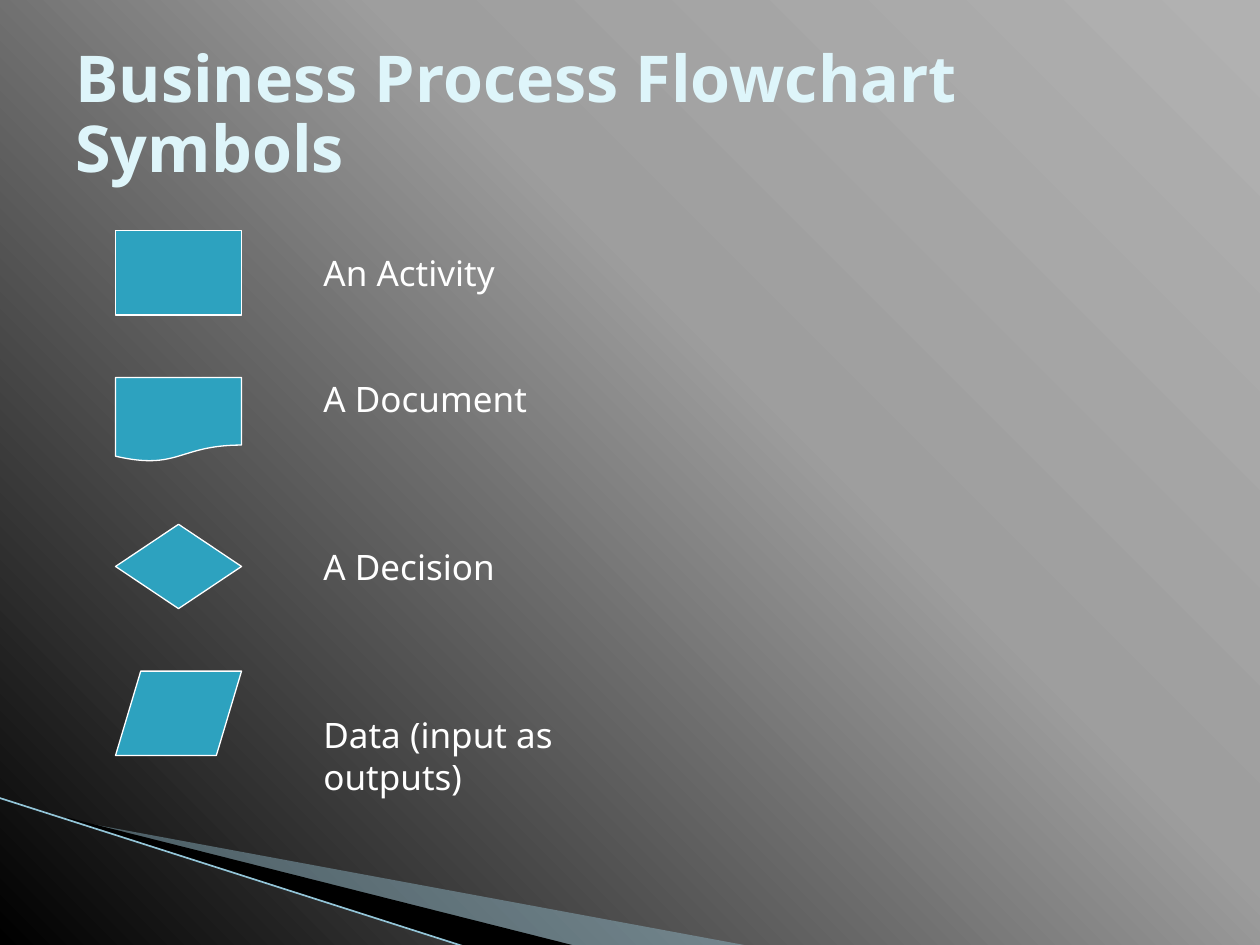
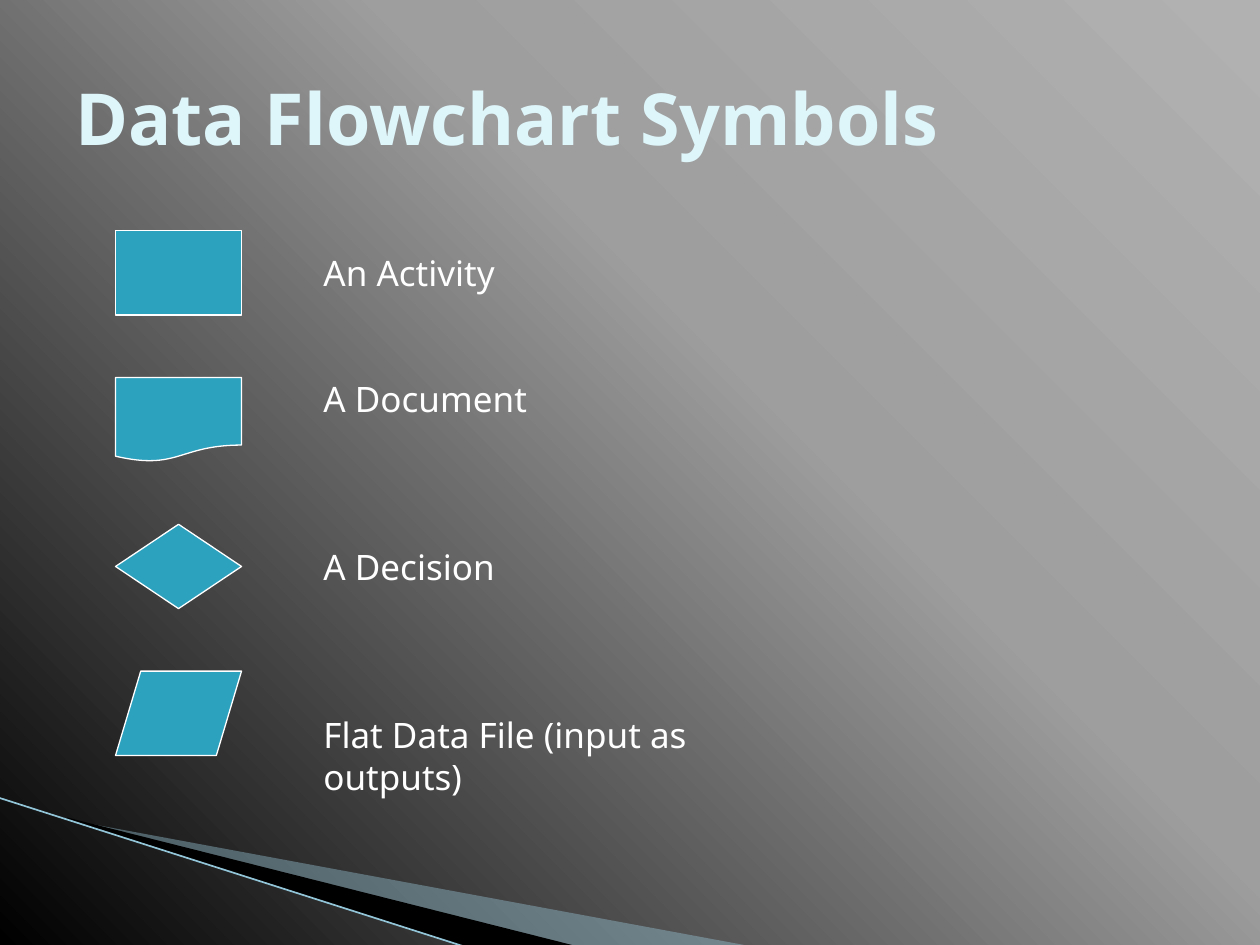
from lxml import etree
from pptx import Presentation
from pptx.dml.color import RGBColor
from pptx.enum.shapes import MSO_CONNECTOR as Connector, MSO_SHAPE as Preset
from pptx.enum.text import MSO_ANCHOR as Anchor
from pptx.oxml import parse_xml
from pptx.oxml.ns import nsdecls, qn
from pptx.util import Cm, Pt

FONT = "Noto Sans"
TITLE, TEXT, SYMBOL = "DEF5FA", "FFFFFF", "2DA2BF"
WEDGE, SHADE, EDGE = "9CCADC", "000000", "93C5D8"
BACKGROUND = [(0, "B1B1B1"), (40, "9E9E9E"), (100, "000000")]

LINE_PITCH = 24
SYMBOLS = [Preset.FLOWCHART_PROCESS, Preset.FLOWCHART_DOCUMENT,
           Preset.FLOWCHART_DECISION, Preset.FLOWCHART_DATA]
LINES_BEFORE = [0, 2, 3, 3]
SHARED_LABELS = ["An Activity", "A Document", "A Decision"]
SLIDES = [
    dict(title="Business Process Flowchart Symbols", size=36.9, spacing=0.9,
         last_label="Data (input as outputs)", label_width=6.96),
    dict(title="Data Flowchart Symbols", size=41, spacing=1.0,
         last_label="Flat Data File (input as outputs)", label_width=9.5),
]
WEDGE_POINTS = [(1.4, 16.53), (15.11, 19.07), (11.58, 19.07), (1.4, 16.51)]
SHADE_POINTS = [(1.35, 16.48), (11.61, 19.07), (9.45, 19.1), (1.37, 16.51)]


def color(value):
    """Turn a hex string into a colour."""
    return RGBColor.from_string(value)


def set_background(master):
    """Give every slide the gradient that spreads from the top right corner."""
    fill = master.background.fill
    fill.gradient()
    stops = "".join(f'<a:gs pos="{position * 1000}"><a:srgbClr val="{value}"/></a:gs>'
                    for position, value in BACKGROUND)
    gradient = parse_xml(
        f'<a:gradFill {nsdecls("a")} rotWithShape="1"><a:gsLst>{stops}</a:gsLst>'
        '<a:path path="circle"><a:fillToRect l="100000" b="100000"/></a:path></a:gradFill>')
    previous = master.element.find(".//" + qn("a:gradFill"))
    previous.getparent().replace(previous, gradient)


def add_text(slide, paragraphs, box, size, value, bold=False, spacing=1.0,
             anchor=Anchor.TOP, space_before=(0,)):
    """Add a wrapped text box with one paragraph per string."""
    frame = slide.shapes.add_textbox(*map(Cm, box)).text_frame
    frame.word_wrap = True
    frame.vertical_anchor = anchor
    frame.text = "\n".join(paragraphs)
    for paragraph, space in zip(frame.paragraphs, space_before):
        paragraph.line_spacing = spacing
        paragraph.space_before = Pt(space)
        font = paragraph.font
        font.name, font.size, font.bold = FONT, Pt(size), bold
        font.color.rgb = color(value)


def add_wedge(slide, points, value, opacity=100):
    """Add a filled outline without a border."""
    start, *rest = [(Cm(x), Cm(y)) for x, y in points]
    builder = slide.shapes.build_freeform(*start)
    builder.add_line_segments(rest, close=True)
    shape = builder.convert_to_shape()
    shape.shadow.inherit = False
    shape.fill.solid()
    shape.fill.fore_color.rgb = color(value)
    shape.line.fill.background()
    if opacity < 100:
        fill_color = shape.element.spPr.find(".//" + qn("a:srgbClr"))
        etree.SubElement(fill_color, qn("a:alpha"), val=str(opacity * 1000))


def add_corner(slide):
    """Draw the wedges and the thin line in the bottom left corner."""
    add_wedge(slide, WEDGE_POINTS, WEDGE, opacity=40)
    add_wedge(slide, SHADE_POINTS, SHADE)
    edge = slide.shapes.add_connector(
        Connector.STRAIGHT, Cm(-0.03), Cm(16.08), Cm(9.42), Cm(19.1))
    edge.line.color.rgb = color(EDGE)
    edge.line.width = Pt(0.95)
    etree.SubElement(edge.element.spPr, qn("a:effectLst"))


def add_symbols(slide):
    """Stack the flowchart symbols at equal steps."""
    for row, preset in enumerate(SYMBOLS):
        shape = slide.shapes.add_shape(
            preset, Cm(2.33), Cm(4.65 + 2.96 * row), Cm(2.54), Cm(1.7))
        shape.shadow.inherit = False
        shape.fill.solid()
        shape.fill.fore_color.rgb = color(SYMBOL)
        shape.line.color.rgb = color(TEXT)
        shape.line.width = Pt(0.75)


def main():
    """Build and save the presentation."""
    presentation = Presentation()
    presentation.slide_width, presentation.slide_height = Cm(25.4), Cm(19.05)
    set_background(presentation.slide_master)
    for content in SLIDES:
        slide = presentation.slides.add_slide(presentation.slide_layouts[6])
        add_corner(slide)
        add_text(slide, [content["title"]], (1.27, 0.76, 22.86, 3.18), content["size"],
                 TITLE, bold=True, spacing=content["spacing"], anchor=Anchor.MIDDLE)
        add_symbols(slide)
        add_text(slide, SHARED_LABELS + [content["last_label"]],
                 (6.27, 4.95, content["label_width"], 10.41), 20, TEXT,
                 spacing=Pt(LINE_PITCH),
                 space_before=[LINE_PITCH * lines for lines in LINES_BEFORE])
    presentation.save("out.pptx")


if __name__ == "__main__":
    main()
